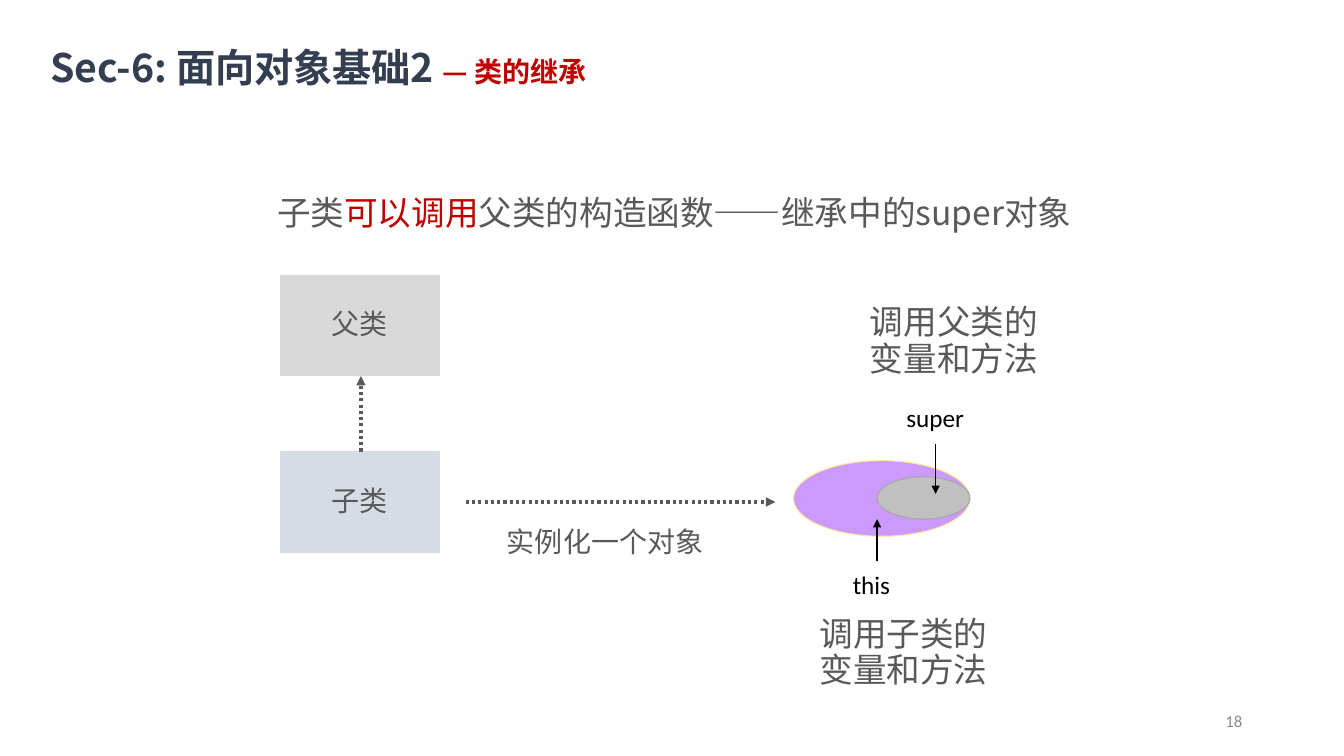
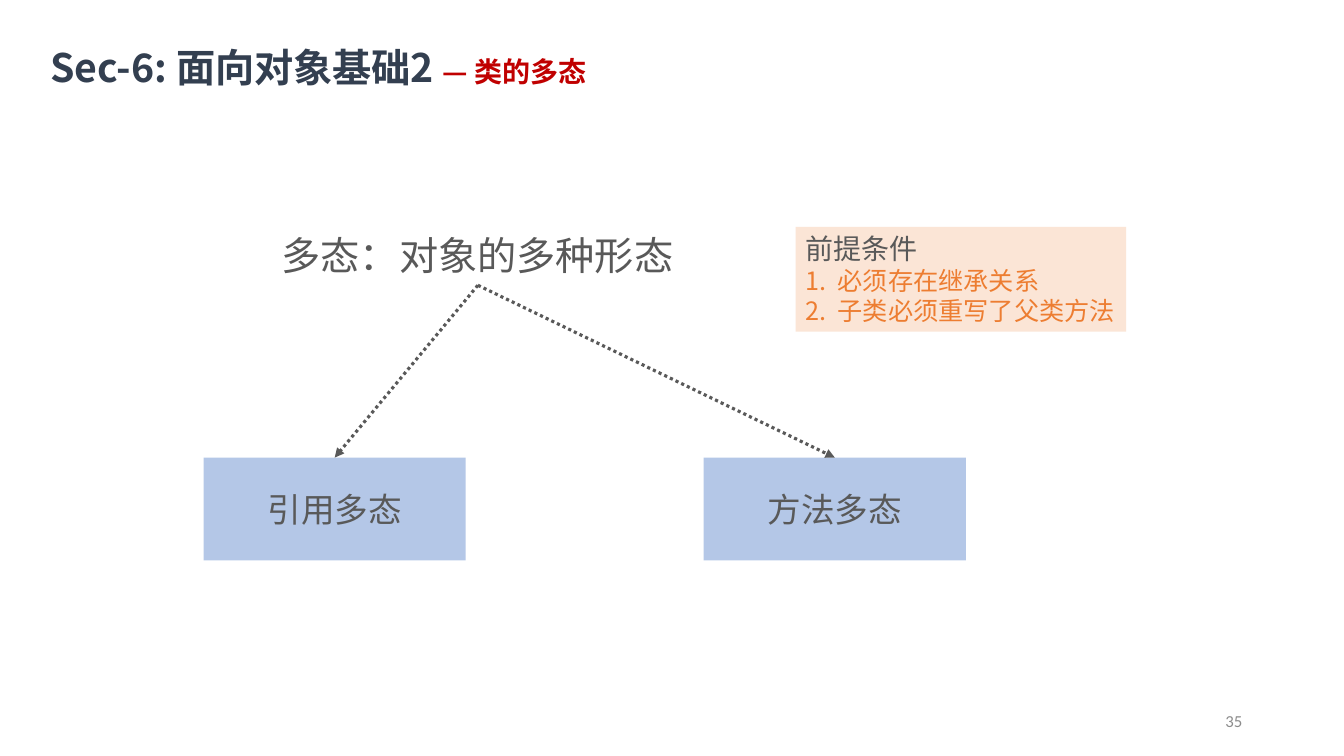
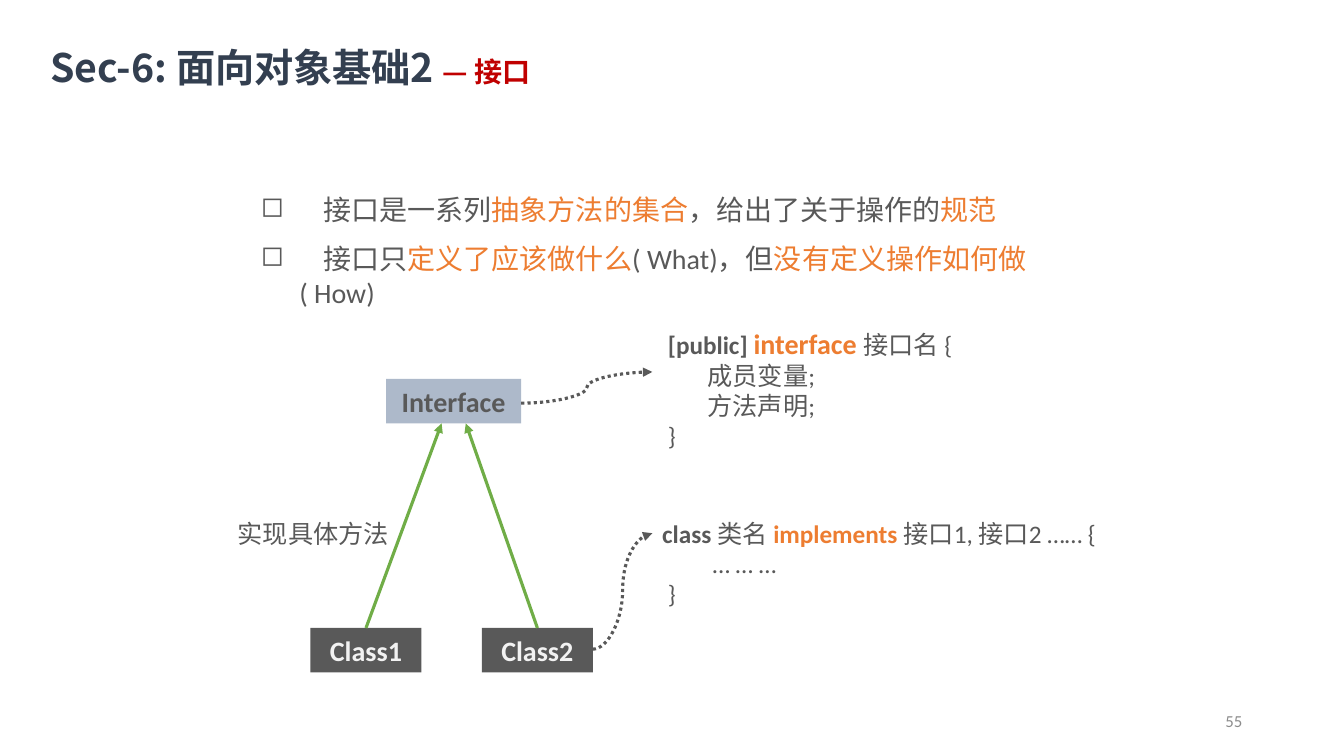
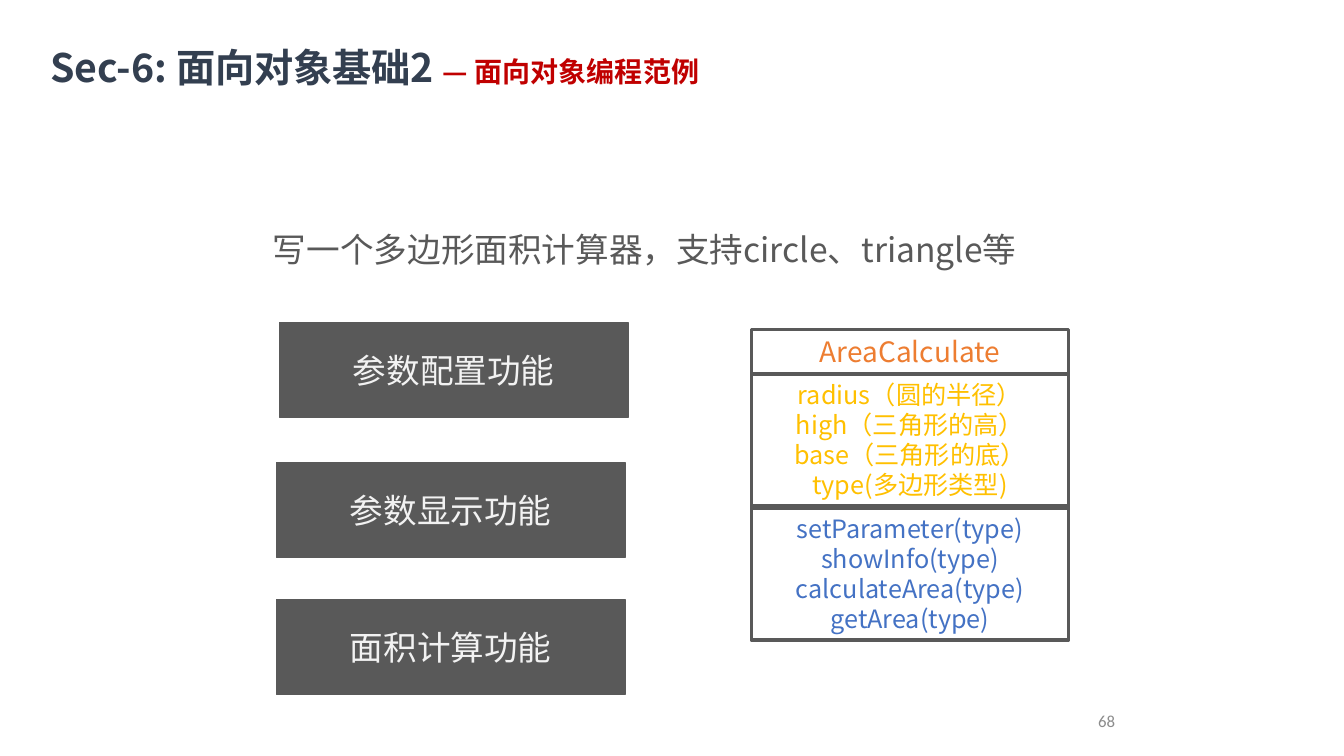
from pptx import Presentation
from pptx.dml.color import RGBColor
from pptx.enum.dml import MSO_LINE
from pptx.enum.shapes import MSO_CONNECTOR as LINK, MSO_SHAPE as SHAPE
from pptx.enum.text import MSO_ANCHOR as ANCHOR, PP_ALIGN as ALIGN
from pptx.oxml.ns import qn
from pptx.util import Inches, Pt
from lxml.etree import SubElement

GRAY = RGBColor(0x59, 0x59, 0x59)
NUMBER_GRAY = RGBColor(0x8C, 0x8C, 0x8C)
PALE_GRAY = RGBColor(0xD9, 0xD9, 0xD9)
SILVER = RGBColor(0xC0, 0xC0, 0xC0)
SILVER_EDGE = RGBColor(0xA6, 0xA6, 0xA6)
OFF_WHITE = RGBColor(0xF2, 0xF2, 0xF2)
BLACK = RGBColor(0, 0, 0)
NAVY = RGBColor(0x33, 0x3F, 0x50)
RED = RGBColor(0xC0, 0, 0)
ORANGE = RGBColor(0xED, 0x7D, 0x31)
PEACH = RGBColor(0xFB, 0xE5, 0xD6)
GOLD = RGBColor(0xFF, 0xC0, 0)
PALE_GOLD = RGBColor(0xFF, 0xE6, 0x99)
BLUE = RGBColor(0x44, 0x72, 0xC4)
LIGHT_BLUE = RGBColor(0xB4, 0xC7, 0xE7)
PALE_BLUE = RGBColor(0xD6, 0xDC, 0xE5)
STEEL = RGBColor(0xAD, 0xB9, 0xCA)
GREEN = RGBColor(0x70, 0xAD, 0x47)
PURPLE = RGBColor(0xCC, 0x99, 0xFF)

HAN = "Noto Sans CJK SC"
LATIN = "Calibri"


class Deck:
    """Shared style plus the slide being filled."""

    def __init__(self):
        self.prs = Presentation()
        self.prs.slide_width, self.prs.slide_height = Inches(13.33), Inches(7.5)
        self.slide = None

    def new_slide(self, topic, number, number_right=12.42):
        self.slide = self.prs.slides.add_slide(self.prs.slide_layouts[6])
        title = [("Sec-6: 面向对象基础2 ", {}), ("— " + topic, {"size": 20, "color": RED})]
        self.text(0.5, 0.43, 7.27, 0.48, [title], 28, NAVY, bold=True, inset=0)
        self.text(number_right - 3, 6.95, 3, 0.4, [number], 12, NUMBER_GRAY, LATIN,
                  align=ALIGN.RIGHT, anchor=ANCHOR.MIDDLE)

    @staticmethod
    def style(font, size=None, color=None, bold=None):
        if size:
            font.size = Pt(size)
        if color is not None:
            font.color.rgb = color
        if bold is not None:
            font.bold = bold

    @staticmethod
    def marker(paragraph, indent, tag, **attributes):
        props = paragraph._p.get_or_add_pPr()
        props.set("marL", str(Inches(indent)))
        props.set("indent", str(-Inches(indent)))
        SubElement(props, qn(tag), **attributes)

    @staticmethod
    def tabs(paragraph, *stops):
        tab_list = SubElement(paragraph._p.get_or_add_pPr(), qn("a:tabLst"))
        for stop in stops:
            SubElement(tab_list, qn("a:tab"), pos=str(Inches(stop)), algn="l")

    def set_lines(self, frame, lines, size, color, font=HAN, bold=False, align=ALIGN.LEFT,
                  anchor=ANCHOR.TOP, spacing=None, inset=None, bullet=None, numbered=(),
                  tabs=(), gap=0):
        """Each line is a string or a list of (text, overrides) runs."""
        frame.word_wrap = True
        frame.vertical_anchor = anchor
        if inset is not None:
            frame.margin_left = frame.margin_right = Inches(inset)
            frame.margin_top = frame.margin_bottom = Inches(inset)
        for i, line in enumerate(lines):
            paragraph = frame.paragraphs[0] if i == 0 else frame.add_paragraph()
            if bullet:
                self.marker(paragraph, 0.38, "a:buChar", char=bullet)
            elif i in numbered:
                self.marker(paragraph, 0.32, "a:buAutoNum", type="arabicPeriod")
            if tabs:
                self.tabs(paragraph, *tabs)
            paragraph.alignment = align
            if spacing:
                paragraph.line_spacing = spacing
            if gap and i:
                paragraph.space_before = Pt(gap)
            self.style(paragraph.font, size, color, bold)
            paragraph.font.name = font
            defaults = paragraph._p.pPr.find(qn("a:defRPr"))
            SubElement(defaults, qn("a:ea"), typeface=HAN)
            for words, overrides in [(line, {})] if isinstance(line, str) else line:
                run = paragraph.add_run()
                run.text = words
                self.style(run.font, **overrides)

    def text(self, left, top, width, height, lines, size, color=GRAY, font=HAN, **options):
        box = self.slide.shapes.add_textbox(*map(Inches, (left, top, width, height)))
        self.set_lines(box.text_frame, lines, size, color, font, **options)

    def box(self, left, top, width, height, fill=None, edge=None, weight=0.75,
            lines=(), size=20, color=GRAY, kind=SHAPE.RECTANGLE, align=ALIGN.CENTER,
            anchor=ANCHOR.MIDDLE, **options):
        shape = self.slide.shapes.add_shape(kind, *map(Inches, (left, top, width, height)))
        shape.shadow.inherit = False
        if fill is None:
            shape.fill.background()
        else:
            shape.fill.solid()
            shape.fill.fore_color.rgb = fill
        if edge is None:
            shape.line.fill.background()
        else:
            shape.line.color.rgb = edge
            shape.line.width = Pt(weight)
        if lines:
            self.set_lines(shape.text_frame, lines, size, color, align=align,
                           anchor=anchor, **options)

    def arrow(self, start, end, color=GRAY, weight=2.25, dotted=False, kind=LINK.STRAIGHT):
        link = self.slide.shapes.add_connector(kind, *map(Inches, start + end))
        link.line.color.rgb = color
        link.line.width = Pt(weight)
        if dotted:
            link.line.dash_style = MSO_LINE.ROUND_DOT
        SubElement(link.line._get_or_add_ln(), qn("a:tailEnd"), type="triangle")
        SubElement(link._element.spPr, qn("a:effectLst"))


def inheritance(deck):
    deck.new_slide("类的继承", "18")
    deck.text(2.65, 1.85, 9.13, 0.5, [[
        ("子类", {}), ("可以调用", {"color": RED}),
        ("父类的构造函数——继承中的super对象", {})]], 24)

    # Parent and child classes
    for name, top, fill in (("父类", 2.73, PALE_GRAY), ("子类", 4.48, PALE_BLUE)):
        deck.box(2.78, top, 1.58, 1, fill, fill, lines=[name], spacing=0.9)
    deck.arrow((3.58, 4.48), (3.58, 3.73), dotted=True)

    # Instance holding its parent part
    deck.arrow((4.62, 4.98), (7.69, 4.98), dotted=True)
    deck.text(4.93, 5.15, 2.36, 0.44, ["实例化一个对象"], 20)
    deck.box(7.87, 4.57, 1.75, 0.75, PURPLE, PALE_GOLD, kind=SHAPE.OVAL)
    deck.box(8.7, 4.73, 0.92, 0.42, SILVER, SILVER_EDGE, kind=SHAPE.OVAL)

    # Keywords and what they reach
    deck.arrow((8.7, 5.57), (8.7, 5.15), BLACK, 1)
    deck.arrow((9.28, 4.4), (9.28, 4.9), BLACK, 0.75)
    for keyword, left, top, height in (("this", 8.36, 5.48, 0.67), ("super", 8.89, 3.91, 0.49)):
        deck.text(left, top, 1.08, height, [keyword], 18, BLACK, LATIN,
                  anchor=ANCHOR.MIDDLE, spacing=0.9)
    for owner, left, top in (("父类", 8.53, 2.98), ("子类", 8.03, 6.07)):
        deck.text(left, top, 1.95, 0.83, [f"调用{owner}的", "变量和方法"], 24,
                  anchor=ANCHOR.MIDDLE, spacing=0.9)


def polymorphism(deck):
    deck.new_slide("类的多态", "35")
    deck.text(1.94, 2.25, 5.59, 0.57, ["多态：对象的多种形态"], 28, align=ALIGN.CENTER)

    # Two forms
    width, top = 2.6, 4.54
    for form, left in (("引用多态", 2.02), ("方法多态", 6.98)):
        deck.box(left, top, width, 1.02, LIGHT_BLUE, lines=[form], size=24)
        deck.arrow((4.74, 2.83), (left + width / 2, top), dotted=True)

    # Preconditions
    deck.box(7.89, 2.25, 3.28, 1.04, PEACH, size=18, color=ORANGE, align=ALIGN.LEFT,
             anchor=ANCHOR.TOP, numbered=(1, 2), lines=[
                 [("前提条件", {"size": 20, "color": GRAY})],
                 [("必须存在继承关系", {"color": ORANGE})],
                 [("子类必须重写了父类方法", {"color": ORANGE})]])


def interface(deck):
    deck.new_slide("接口", "55")
    key = {"color": ORANGE}
    strong = {"bold": True}
    keyword = {"color": ORANGE, "bold": True}

    # Definition
    deck.text(2.49, 1.86, 8.5, 1.3, [
        [("\t接口是一系列", {}), ("抽象方法的集合", key), ("，给出了关于操作的", {}),
         ("规范", key)],
        [("\t接口只", {}), ("定义了应该做什么", key), ("( What)，但", {}),
         ("没有定义操作如何做", key), ("( How)", {})],
    ], 20, font=LATIN, bullet="◻", tabs=(0.24, 0.62), gap=11)

    # Interface and implementing classes
    deck.box(3.83, 3.76, 1.34, 0.44, STEEL, lines=["Interface"], font=LATIN, bold=True)
    for name, left, tip in (("Class1", 3.08, 4.38), ("Class2", 4.78, 4.62)):
        deck.box(left, 6.23, 1.1, 0.44, GRAY, lines=[name], color=OFF_WHITE,
                 font=LATIN, bold=True)
        deck.arrow((left + 0.55, 6.23), (tip, 4.2), GREEN)
    deck.text(2.26, 5.09, 1.75, 0.4, ["实现具体方法"], 18)

    # Syntax
    deck.arrow((5.17, 4), (6.47, 3.69), dotted=True, kind=LINK.CURVE)
    deck.text(6.47, 3.19, 3.81, 1.35, [
        [(" [public] ", strong), ("interface ", {"size": 20, **keyword}), ("接口名 {", {})],
        "        成员变量;",
        "        方法声明;",
        " }"], 18, font=LATIN)
    deck.arrow((5.88, 6.44), (6.47, 5.29), dotted=True, kind=LINK.CURVE)
    deck.text(6.47, 5.09, 5, 1.01, [
        [("class ", strong), ("类名 ", {}), ("implements ", keyword),
         ("接口1, 接口2 …… {", {})],
        "\t… … …",
        " }"], 18, font=LATIN, tabs=(0.5,))


def example(deck):
    deck.new_slide("面向对象编程范例", "68", number_right=11.16)
    deck.text(2.34, 2.22, 8.11, 0.5, ["写一个多边形面积计算器，支持circle、triangle等"], 24,
              align=ALIGN.CENTER)

    # Required functions
    for feature, left, top in (("参数配置功能", 2.77, 3.2), ("参数显示功能", 2.74, 4.59),
                               ("面积计算功能", 2.74, 5.95)):
        deck.box(left, top, 3.46, 0.94, GRAY, GRAY, 1, [feature], 24, OFF_WHITE)

    # Class diagram: name, fields, methods
    fields = ["radius（圆的半径）", "high（三角形的高）", "base（三角形的底）", "type(多边形类型)"]
    methods = ["setParameter(type)", "showInfo(type)", "calculateArea(type)", "getArea(type)"]
    for lines, top, height, size, color in (
            (["AreaCalculate"], 3.27, 0.44, 20, ORANGE),
            (fields, 3.71, 1.31, 18, GOLD),
            (methods, 5.04, 1.31, 18, BLUE)):
        deck.box(7.45, top, 3.15, height, None, GRAY, 2.25, lines, size, color,
                 anchor=ANCHOR.TOP)


def main():
    deck = Deck()
    for build in (inheritance, polymorphism, interface, example):
        build(deck)
    deck.prs.save("out.pptx")


if __name__ == "__main__":
    main()
